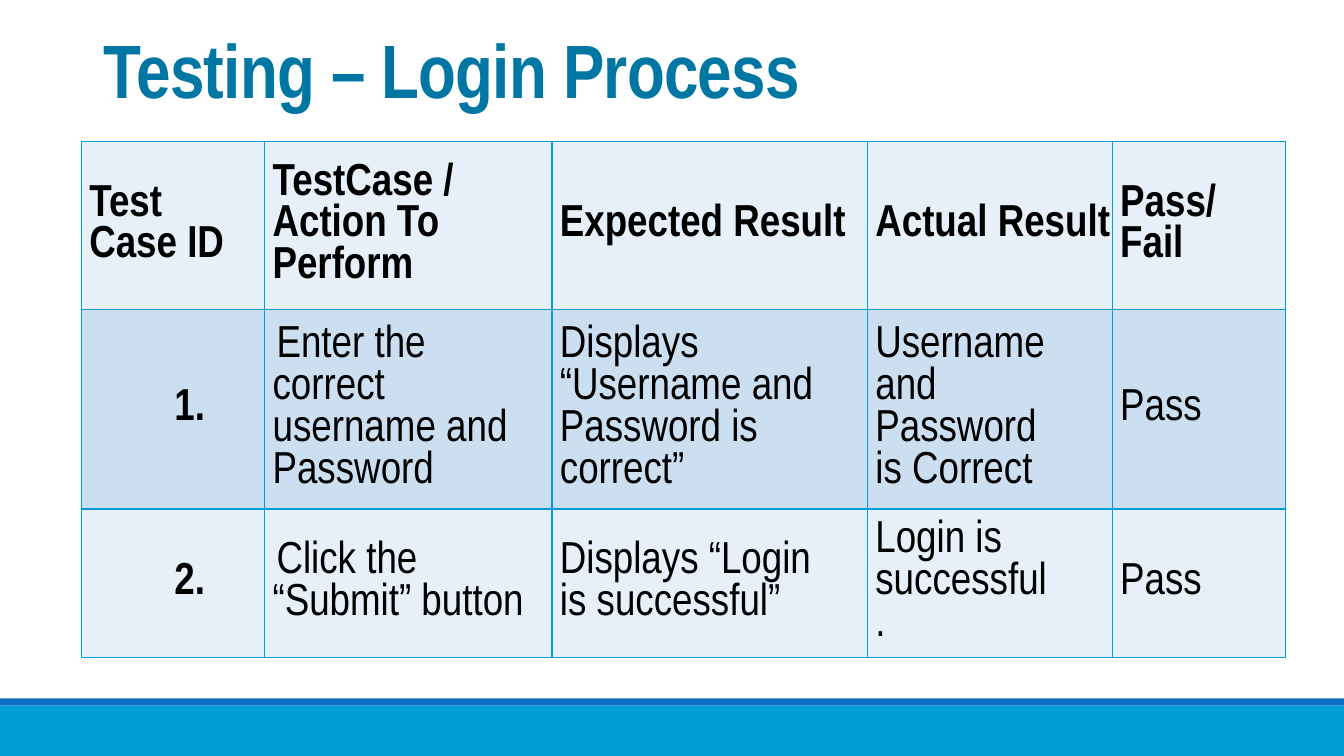
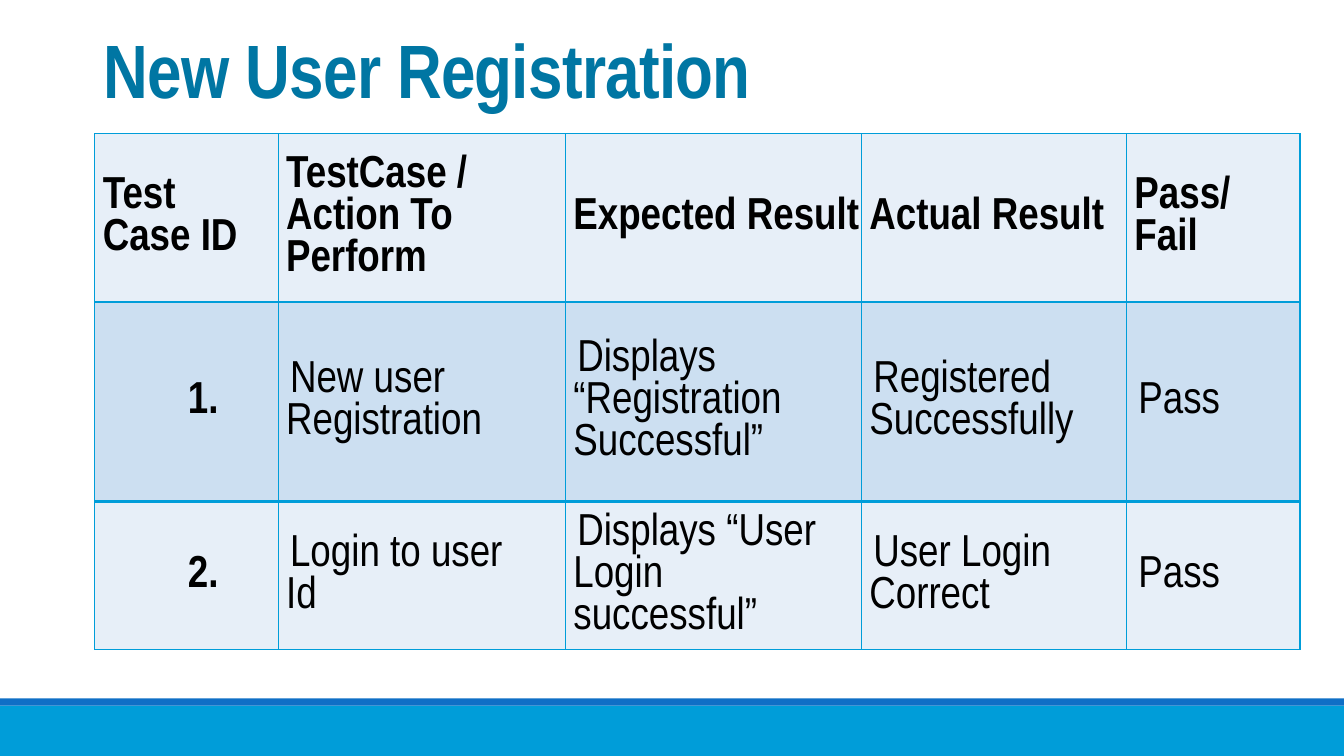
"""Build two test-case slides, each with a title and a result table."""
import pptx
import pptx.dml.color
import pptx.enum.shapes
import pptx.enum.text
import pptx.oxml.ns
import pptx.util
from lxml import etree

Cm = pptx.util.Cm
Pt = pptx.util.Pt
ALIGN = pptx.enum.text.PP_ALIGN
ANCHOR = pptx.enum.text.MSO_ANCHOR

FONT = "Arial Narrow"
BLUE, DARK_BLUE, TITLE_BLUE = "009DD9", "0F6FC6", "0076A3"
ROW_FILLS = ["E7EFF8", "CCDFF1", "E7EFF8"]
ROW_HEIGHTS = [4.24, 5.03, 3.73]
SLIDE_WIDTH, SLIDE_HEIGHT = 33.87, 19.05
BANDS = [(17.78, 1.27, BLUE), (17.6, 0.18, DARK_BLUE)]
CELL_INSET, NUMBER_INSET, FIRST_LINE_INDENT = 0.2, 0.84, 0.1

HEADER = ["Test Case ID", "TestCase /\nAction To Perform", "Expected Result",
          "Actual Result", "Pass/ Fail"]
HEADER_RIGHT_INSETS = [0.5, 0, 0, 0, 0.5]
SLIDES = [
    {
        "title": "Testing – Login Process",
        "position": (2.05, 3.56),
        "columns": [4.62, 7.24, 7.95, 6.17, 4.37],
        "right_insets": [0, 0.5, 1, 1.5, 0],
        "indented": [1],
        "rows": [
            ["1.", "Enter the correct username and Password",
             "Displays “Username and Password is correct”",
             "Username and Password is Correct", "Pass"],
            ["2.", "Click the “Submit” button", "Displays “Login is successful”",
             "Login is successful.", "Pass"],
        ],
    },
    {
        "title": "New User Registration",
        "position": (2.39, 3.37),
        "columns": [4.62, 7.24, 7.46, 6.68, 4.37],
        "right_insets": [0, 1, 0.75, 0, 0],
        "indented": [1, 2, 3, 4],
        "rows": [
            ["1.", "New user Registration", "Displays “Registration Successful”",
             "Registered Successfully", "Pass"],
            ["2.", "Login to user Id", "Displays “User Login successful”",
             "User Login Correct", "Pass"],
        ],
    },
]


def color(code):
    return pptx.dml.color.RGBColor.from_string(code)


def write(frame, text, size=32, ink="000000", bold=False, align=ALIGN.LEFT,
          line_spacing=None, letter_spacing=0, indent=0):
    frame.word_wrap = True
    for number, line in enumerate(text.split("\n")):
        para = frame.add_paragraph() if number else frame.paragraphs[0]
        para.alignment = align
        if line_spacing:
            para.line_spacing = line_spacing
        if indent:
            para._p.get_or_add_pPr().set("indent", str(Cm(indent)))
        span = para.add_run()
        span.text = line
        span.font.name, span.font.size, span.font.bold = FONT, Pt(size), bold
        span.font.color.rgb = color(ink)
        if letter_spacing:
            span.font._element.set("spc", str(round(letter_spacing * 100)))


def draw_border(cell, widths):
    properties = cell._tc.get_or_add_tcPr()
    qn = pptx.oxml.ns.qn
    for side, width in zip("LRTB", widths):
        line = etree.SubElement(properties, qn("a:ln" + side), w=str(Pt(width)))
        fill = etree.SubElement(line, qn("a:solidFill"))
        etree.SubElement(fill, qn("a:srgbClr"), val=BLUE)


def set_up_template(layout):
    title = layout.placeholders[0]
    title.left, title.top, title.width, title.height = map(Cm, (2.36, 0.79, 27.94, 2.21))


def add_bands(slide, master):
    for position, (top, height, fill) in enumerate(BANDS, start=2):
        band = slide.shapes.add_shape(pptx.enum.shapes.MSO_SHAPE.RECTANGLE,
                                      0, Cm(top), Cm(SLIDE_WIDTH), Cm(height))
        band.shadow.inherit = False
        band.fill.solid()
        band.fill.fore_color.rgb = color(fill)
        band.line.fill.background()
        master.element.cSld.spTree.insert(position, band.element)


def add_title(slide, text):
    frame = slide.shapes.title.text_frame
    frame.auto_size = pptx.enum.text.MSO_AUTO_SIZE.NONE
    frame.vertical_anchor = ANCHOR.BOTTOM
    write(frame, text, size=54, ink=TITLE_BLUE, bold=True,
          line_spacing=0.85, letter_spacing=-0.5)


def add_results(slide, content):
    rows, columns = [HEADER] + content["rows"], content["columns"]
    left, top = content["position"]
    table = slide.shapes.add_table(len(rows), len(columns), Cm(left), Cm(top),
                                   Cm(sum(columns)), Cm(sum(ROW_HEIGHTS))).table
    table.first_row = table.horz_banding = False
    for column, width in zip(table.columns, columns):
        column.width = Cm(width)
    for row_number, texts in enumerate(rows):
        table.rows[row_number].height = Cm(ROW_HEIGHTS[row_number])
        is_header = row_number == 0
        right_insets = HEADER_RIGHT_INSETS if is_header else content["right_insets"]
        for column_number, text in enumerate(texts):
            cell = table.cell(row_number, column_number)
            is_number = column_number == 0 and not is_header
            indented = column_number in content["indented"] and not is_header
            draw_border(cell, (1, 1, 2 if row_number == 2 else 1,
                               2 if row_number == 1 else 1))
            cell.fill.solid()
            cell.fill.fore_color.rgb = color(ROW_FILLS[row_number])
            cell.margin_left = Cm(NUMBER_INSET if is_number else CELL_INSET)
            cell.margin_right = Cm(right_insets[column_number])
            cell.margin_top = cell.margin_bottom = 0
            cell.vertical_anchor = ANCHOR.MIDDLE
            write(cell.text_frame, text, bold=is_header or is_number,
                  align=ALIGN.CENTER if is_number else ALIGN.LEFT,
                  indent=FIRST_LINE_INDENT if indented else 0)


def main():
    deck = pptx.Presentation()
    deck.slide_width, deck.slide_height = Cm(SLIDE_WIDTH), Cm(SLIDE_HEIGHT)
    layout = deck.slide_layouts[5]
    set_up_template(layout)
    pages = [deck.slides.add_slide(layout) for _ in SLIDES]
    add_bands(pages[0], deck.slide_master)
    for page, content in zip(pages, SLIDES):
        add_title(page, content["title"])
        add_results(page, content)
    deck.save("out.pptx")


if __name__ == "__main__":
    main()
